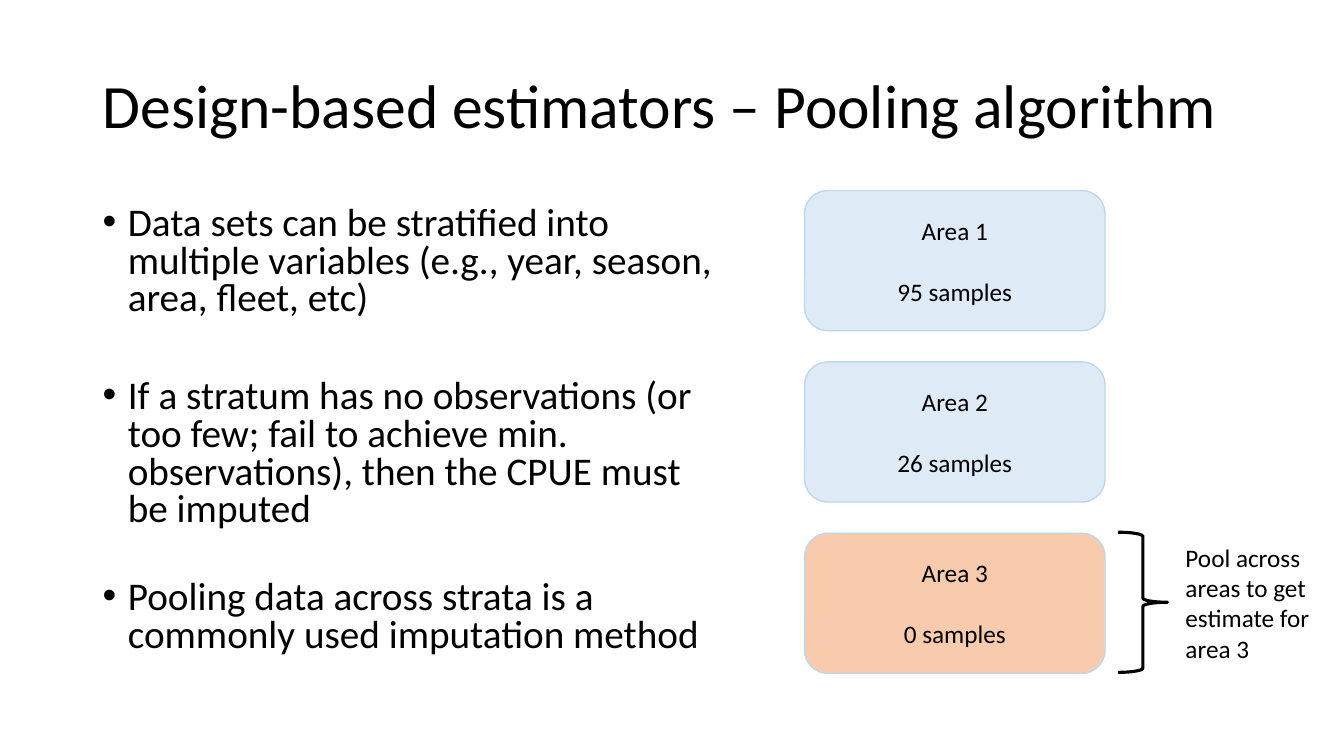
"""Build the slide on the pooling algorithm for design-based estimators."""
import pptx
import pptx.dml.color
import pptx.enum.shapes
import pptx.enum.text
import pptx.oxml
import pptx.oxml.ns
import pptx.util

Inches = pptx.util.Inches
Pt = pptx.util.Pt
SHAPES = pptx.enum.shapes.MSO_SHAPE
ALIGN = pptx.enum.text.PP_ALIGN
ANCHOR = pptx.enum.text.MSO_ANCHOR


def color(hex_string):
    return pptx.dml.color.RGBColor.from_string(hex_string)


def write(shape, lines, size, anchor, formats):
    frame = shape.text_frame
    frame.word_wrap = True
    frame.vertical_anchor = anchor
    for index, (line, space_before) in enumerate(lines):
        paragraph = frame.paragraphs[0] if index == 0 else frame.add_paragraph()
        paragraph.space_before = Pt(space_before)
        for name, value in formats.items():
            setattr(paragraph, name, value)
        run = paragraph.add_run()
        run.text = line
        font_format = {"name": "Calibri", "size": Pt(size)}
        for name, value in font_format.items():
            setattr(run.font, name, value)
        run.font.color.rgb = color("000000")


presentation = pptx.Presentation()
presentation.slide_width = Inches(13.33)
presentation.slide_height = Inches(7.5)
slide = presentation.slides.add_slide(presentation.slide_layouts[6])

title = slide.shapes.add_textbox(Inches(0.92), Inches(0.35), Inches(11.5), Inches(1.45))
write(title, [("Design-based estimators – Pooling algorithm", 0)], 44,
      ANCHOR.MIDDLE, {"line_spacing": 0.9})

points = [
    ("Data sets can be stratified into multiple variables "
     "(e.g., year, season, area, fleet, etc)", 10),
    ("If a stratum has no observations (or too few; fail to achieve min. "
     "observations), then the CPUE must be imputed", 43),
    ("Pooling data across strata is a commonly used imputation method", 36),
]
body = slide.shapes.add_textbox(Inches(0.92), Inches(2), Inches(6.34), Inches(4.76))
write(body, points, 28, ANCHOR.TOP, {"line_spacing": 0.8})
for paragraph in body.text_frame.paragraphs:
    properties = paragraph._p.get_or_add_pPr()
    properties.set("marL", str(Inches(0.25)))
    properties.set("indent", str(Inches(-0.25)))
    namespace = pptx.oxml.ns.nsdecls("a")
    for bullet_xml in (f'<a:buFont {namespace} typeface="Arial"/>',
                       f'<a:buChar {namespace} char="•"/>'):
        properties.append(pptx.oxml.parse_xml(bullet_xml))

areas = [
    ("Area 1", "95 samples", "DEEBF7"),
    ("Area 2", "26 samples", "DEEBF7"),
    ("Area 3", "0 samples", "F8CBAD"),
]
for index, (area, samples, fill) in enumerate(areas):
    box = slide.shapes.add_shape(SHAPES.ROUNDED_RECTANGLE, Inches(7.98),
                                 Inches(1.89 + 1.7 * index), Inches(2.98), Inches(1.39))
    box.shadow.inherit = False
    box.fill.solid()
    box.fill.fore_color.rgb = color(fill)
    box.line.color.rgb = color("BDD7EE")
    box.line.width = Pt(1)
    write(box, [(area, 0), (samples, 22)], 18, ANCHOR.MIDDLE, {"alignment": ALIGN.CENTER})

brace = slide.shapes.add_shape(SHAPES.RIGHT_BRACE, Inches(11.09), Inches(5.28),
                               Inches(0.49), Inches(1.39))
brace.shadow.inherit = False
brace.fill.background()
brace.line.color.rgb = color("000000")
brace.line.width = Pt(2.25)

note = slide.shapes.add_textbox(Inches(11.66), Inches(5.33), Inches(1.67), Inches(1.31))
write(note, [("Pool across areas to get estimate for area 3", 0)], 18, ANCHOR.TOP, {})

presentation.save("out.pptx")
